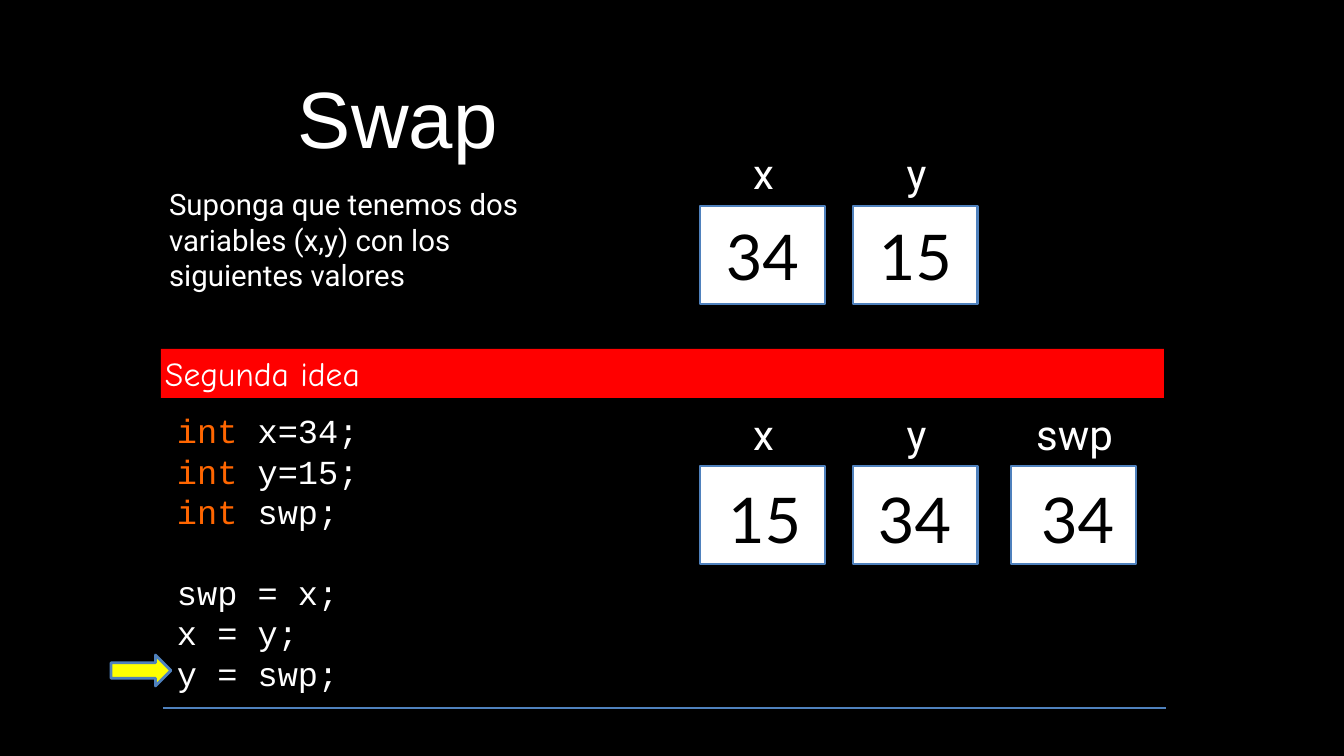
from pptx import Presentation
from pptx.dml.color import RGBColor
from pptx.enum.shapes import MSO_CONNECTOR, MSO_SHAPE
from pptx.enum.text import MSO_ANCHOR, PP_ALIGN
from pptx.oxml.ns import qn
from pptx.util import Pt
from lxml.etree import SubElement

SCALE = 914400 / 100.8
HUES = {
    "black": "000000",
    "white": "FFFFFF",
    "red": "FF0000",
    "blue": "4F81BD",
    "orange": "FF6600",
    "yellow": "FFFF00",
}


class Deck:
    """Draws styled elements on the current slide, with lengths in px."""

    def __init__(self, width, height):
        self.show = Presentation()
        self.show.slide_width, self.show.slide_height = self.emu(width, height)
        self.slide = self.show.slides.add_slide(self.show.slide_layouts[6])
        self.paint(self.slide.background.fill, "black")

    def emu(self, *sizes):
        return [round(size * SCALE) for size in sizes]

    def paint(self, fill, hue):
        fill.solid()
        fill.fore_color.rgb = RGBColor.from_string(HUES[hue])

    def edge(self, line):
        self.paint(line.fill, "blue")
        line.width = Pt(2)

    def shape(self, kind, place, hue, edged=True):
        shape = self.slide.shapes.add_shape(kind, *self.emu(*place))
        shape.shadow.inherit = False
        self.paint(shape.fill, hue)
        if edged:
            self.edge(shape.line)
        else:
            shape.line.fill.background()
        return shape

    def letter(self, shape, lines, font, size, align=PP_ALIGN.LEFT,
               anchor=MSO_ANCHOR.MIDDLE, inset=4, pitch=None, gaps=()):
        frame = shape.text_frame
        frame.word_wrap = True
        frame.vertical_anchor = anchor
        frame.margin_left = frame.margin_right = self.emu(inset)[0]
        frame.margin_top = frame.margin_bottom = self.emu(inset)[0]
        for row, runs in enumerate(lines):
            para = frame.add_paragraph() if row else frame.paragraphs[0]
            para.alignment = align
            if pitch:
                para.line_spacing = Pt(pitch)
            if row in gaps:
                para.space_before = Pt(pitch)
            for text, hue in runs:
                run = para.add_run()
                run.text = text
                run.font.name = font
                run.font.size = Pt(size)
                run.font.color.rgb = RGBColor.from_string(HUES[hue])

    def text(self, place, lines, font, size, **style):
        box = self.slide.shapes.add_textbox(*self.emu(*place))
        self.letter(box, lines, font, size, **style)

    def label(self, left, top, name):
        self.text((left, top, 101, 59), [[(name, "white")]], "Roboto", 30,
                  align=PP_ALIGN.CENTER)

    def cell(self, left, top):
        return self.shape(MSO_SHAPE.RECTANGLE, (left, top, 125, 98), "white")

    def rule(self, left, right, top):
        line = self.slide.shapes.add_connector(
            MSO_CONNECTOR.STRAIGHT, *self.emu(left, top, right, top))
        self.edge(line.line)
        SubElement(line._element.spPr, qn("a:effectLst"))


def main():
    deck = Deck(1344, 756)
    banner = deck.shape(MSO_SHAPE.RECTANGLE, (161, 349, 1003, 49), "red", False)
    deck.letter(banner, [[("Segunda idea", "white")]], "Comic Neue", 24)
    deck.text((298, 65, 747, 99), [[("Swap", "white")]], "Arial", 57,
              anchor=MSO_ANCHOR.BOTTOM, inset=0)
    intro = "Suponga que tenemos dos variables (x,y) con los siguientes valores"
    deck.text((165, 182, 420, 115), [[(intro, "white")]], "Roboto", 21)

    for name, value, left in (("x", "34", 700), ("y", "15", 853)):
        deck.label(left + 13, 143, name)
        deck.letter(deck.cell(left, 206), [[(value, "black")]], "Lato", 45,
                    align=PP_ALIGN.CENTER)

    after = (("x", "15", 700, 724), ("y", "34", 853, 874), ("swp", "34", 1011, 1037))
    for name, value, left, start in after:
        deck.label(left + 13, 404, name)
        deck.cell(left, 466)
        deck.text((start, 476, 86, 85), [[(value, "black")]], "Lato", 45)

    decls = [[("int ", "orange"), (rest, "white")]
             for rest in ("x=34;", "y=15;", "swp;")]
    steps = [[(step, "white")] for step in ("swp = x;", "x = y;", "y = swp;")]
    deck.text((173, 405, 335, 293), decls + steps, "Courier New", 24,
              pitch=28.9, gaps=(len(decls),))
    deck.rule(163, 1166, 708)
    deck.shape(MSO_SHAPE.RIGHT_ARROW, (111, 655, 60, 31), "yellow")
    deck.show.save("out.pptx")


if __name__ == "__main__":
    main()
